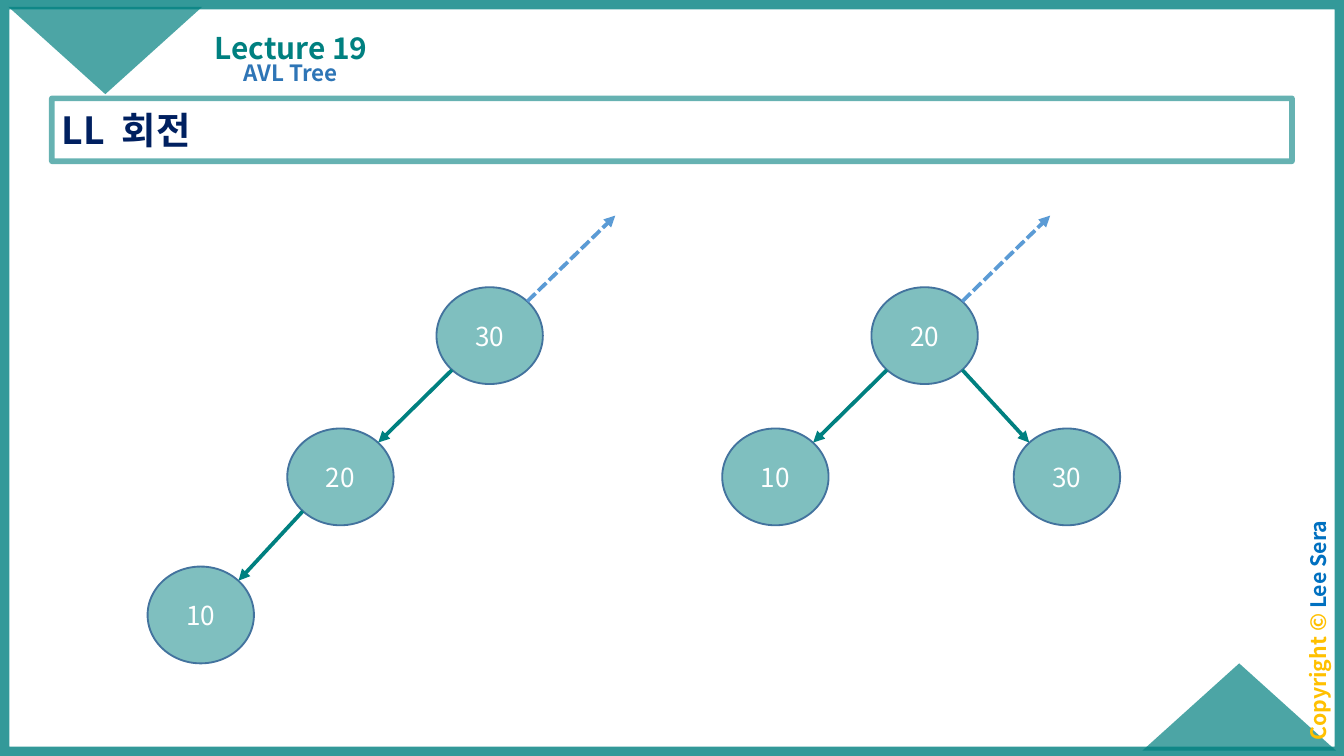
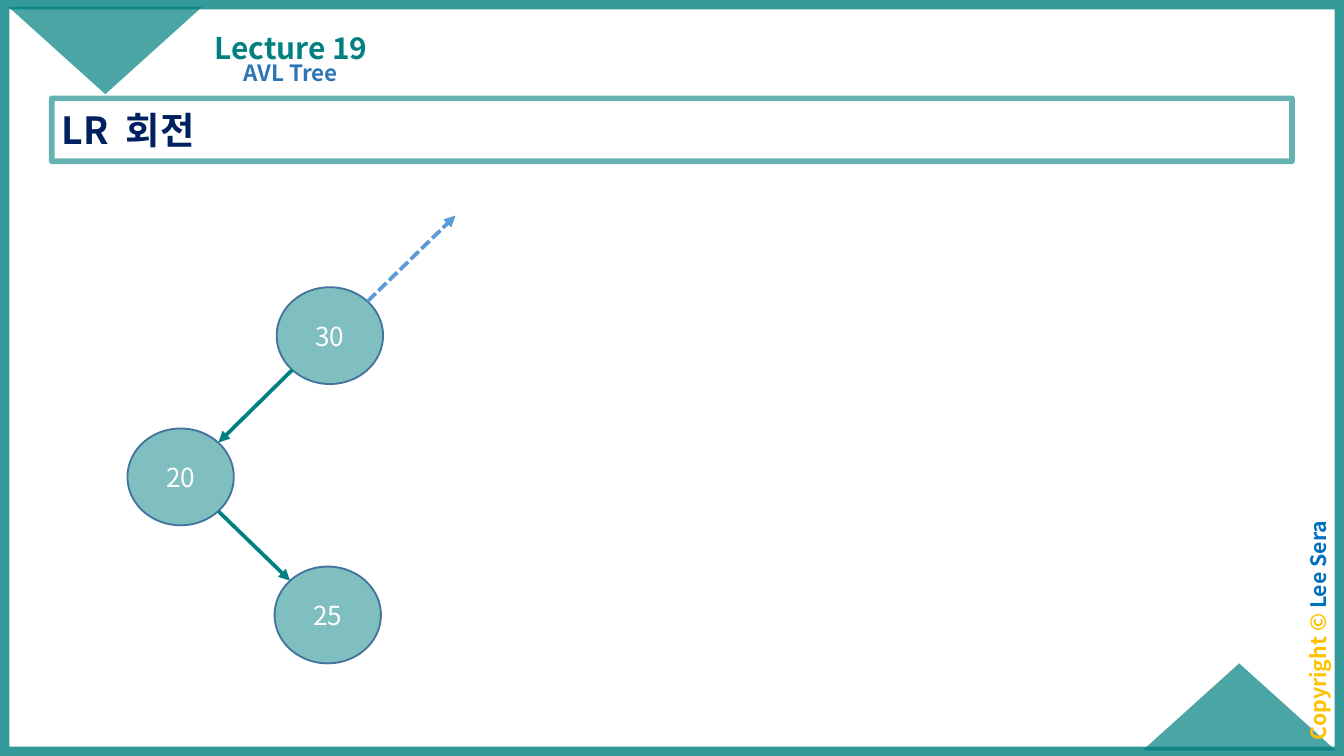
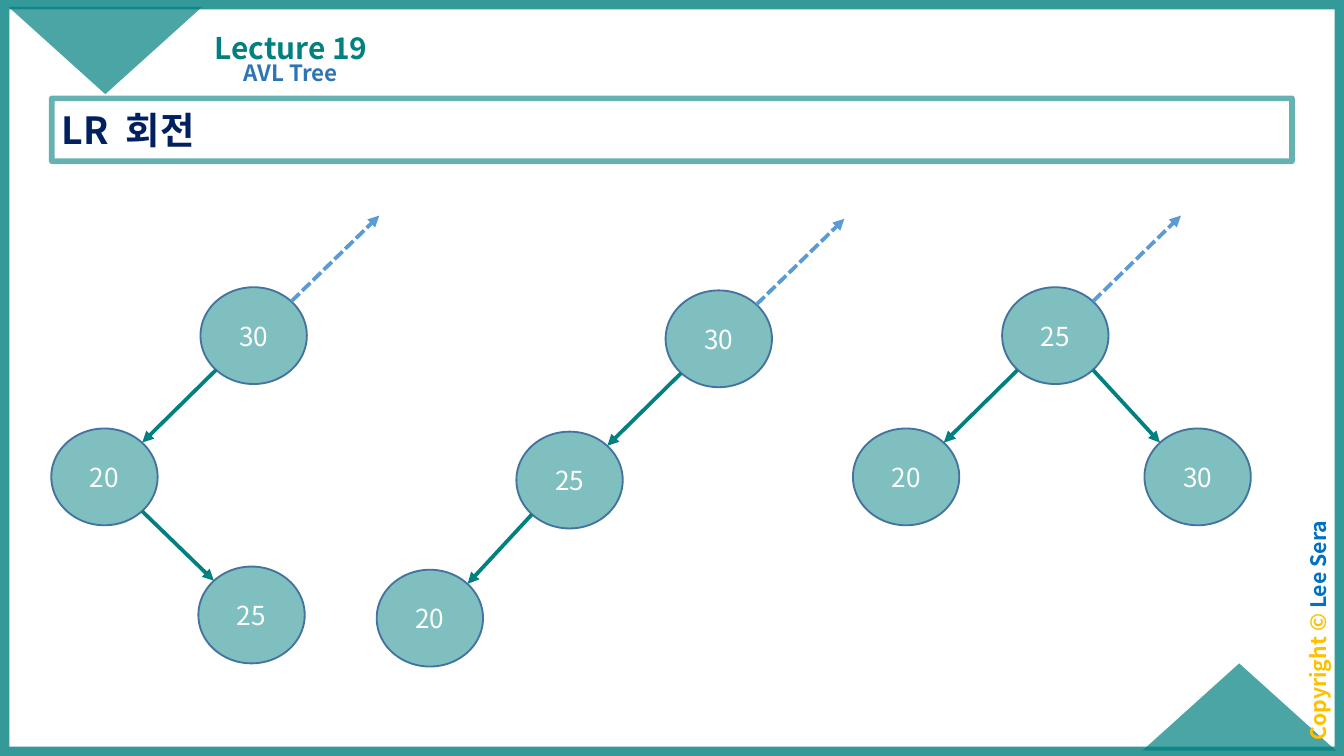
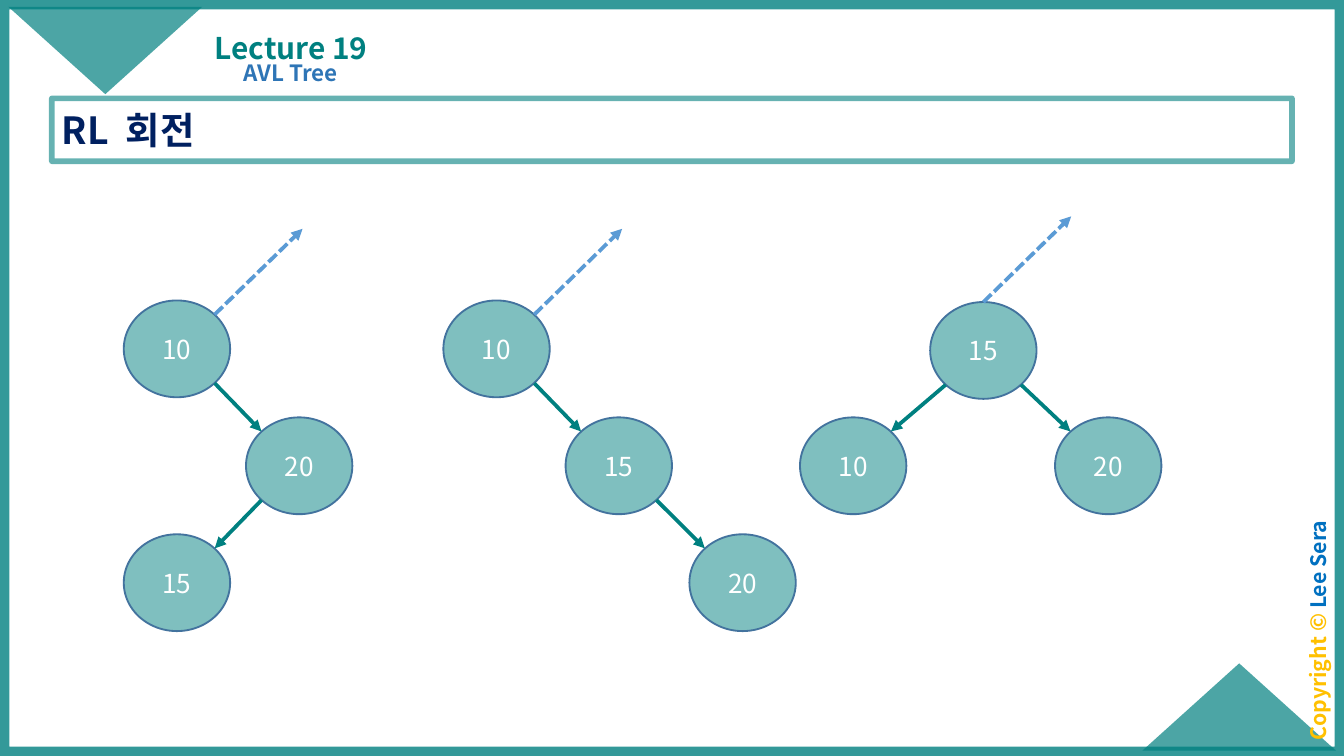
"""Build four lecture slides showing AVL tree rotations."""
import lxml.etree
import pptx
import pptx.dml.color
import pptx.enum.dml
import pptx.enum.shapes
import pptx.enum.text
import pptx.oxml.ns
import pptx.util

Cm = pptx.util.Cm
Pt = pptx.util.Pt
qn = pptx.oxml.ns.qn
SHAPE = pptx.enum.shapes.MSO_SHAPE
ALIGN = pptx.enum.text.PP_ALIGN
ANCHOR = pptx.enum.text.MSO_ANCHOR

FONT = "Noto Sans CJK KR"
COLORS = {
    "teal": "008080",
    "navy": "002060",
    "subtitle": "2E75B6",
    "gold": "FFC000",
    "author": "0070C0",
    "outline": "43739E",
    "dashed": "5B9BD5",
    "white": "FFFFFF",
}
SLIDE_SIZE = (25.4, 14.29)
NODE_SIZE = (2.01, 1.83)
TEXT_INSETS = (0.19, 0.1)
DIAGONAL = 0.71
UP_ARROW = (1.66, -1.62)

LECTURE = "Lecture 19"
TOPIC = "AVL Tree"
COPYRIGHT = [("Copyright © ", "gold"), ("Lee Sera", "author")]

# PATTERNS

PATTERNS = {
    "left-left": [(0, -2.82, 2.67), (1, -5.46, 5.28)],
    "left-right": [(0, -2.82, 2.67), (1, -0.04, 5.28)],
    "balanced": [(0, -2.82, 2.67), (0, 2.69, 2.67)],
    "right-left": [(0, 2.31, 2.21), (1, 0, 4.42)],
    "right-right": [(0, 2.31, 2.21), (1, 4.65, 4.42)],
    "balanced low": [(0, -2.46, 2.18), (0, 2.36, 2.18)],
}
DIAGONAL_START = (DIAGONAL, -DIAGONAL)
TOP_START = (0, -1)
SLIDES = [
    ("LL", "회전", [
        ("left-left", (8.25, 5.43), ["30", "20", "10"], DIAGONAL_START),
        ("balanced", (16.47, 5.43), ["20", "10", "30"], DIAGONAL_START),
    ]),
    ("LR", "회전", [
        ("left-right", (5.23, 5.43), ["30", "20", "25"], DIAGONAL_START),
    ]),
    ("LR", "회전", [
        ("left-right", (3.79, 5.43), ["30", "20", "25"], DIAGONAL_START),
        ("left-left", (12.58, 5.49), ["30", "25", "20"], DIAGONAL_START),
        ("balanced", (18.94, 5.43), ["25", "20", "30"], DIAGONAL_START),
    ]),
    ("RL", "회전", [
        ("right-left", (2.34, 5.68), ["10", "20", "15"], DIAGONAL_START),
        ("right-right", (8.38, 5.68), ["10", "15", "20"], DIAGONAL_START),
        ("balanced low", (17.58, 5.71), ["15", "10", "20"], TOP_START),
    ]),
]


def rgb(name):
    return pptx.dml.color.RGBColor.from_string(COLORS[name])


def set_opacity(parent, percent):
    for color in parent.iter(qn("a:srgbClr")):
        lxml.etree.SubElement(color, qn("a:alpha")).set("val", str(percent * 1000))


def write(box, spans, size, bold=False, align=ALIGN.CENTER, anchor=ANCHOR.MIDDLE,
          spacing=None, before=None, insets=TEXT_INSETS):
    """Write one paragraph of (text, colour[, tracking]) spans."""
    frame = box.text_frame
    frame.auto_size = pptx.enum.text.MSO_AUTO_SIZE.NONE
    frame.word_wrap = True
    frame.vertical_anchor = anchor
    frame.margin_left = frame.margin_right = Cm(insets[0])
    frame.margin_top = frame.margin_bottom = Cm(insets[1])
    para = frame.paragraphs[0]
    para.alignment = align
    if spacing:
        para.line_spacing = spacing
    if before:
        para.space_before = Pt(before)
    for text, color, *tracking in spans:
        span = para.add_run()
        span.text = text
        span.font.size = Pt(size)
        span.font.bold = bold
        span.font.name = FONT
        span.font.color.rgb = rgb(color)
        properties = span._r.get_or_add_rPr()
        lxml.etree.SubElement(properties, qn("a:ea")).set("typeface", FONT)
        if tracking:
            properties.set("spc", str(tracking[0]))


def place(box, left, top, width, height):
    box.left, box.top = Cm(left), Cm(top)
    box.width, box.height = Cm(width), Cm(height)


def add_shape(shapes, kind, area, fill=None, fill_opacity=100, line=None,
              line_width=1, line_opacity=100):
    shape = shapes.add_shape(kind, *map(Cm, area))
    shape.shadow.inherit = False
    properties = shape.element.spPr
    if fill:
        shape.fill.solid()
        shape.fill.fore_color.rgb = rgb(fill)
        set_opacity(properties.find(qn("a:solidFill")), fill_opacity)
    else:
        shape.fill.background()
    if line:
        shape.line.color.rgb = rgb(line)
        shape.line.width = Pt(line_width)
        set_opacity(properties.find(qn("a:ln")), line_opacity)
    else:
        shape.line.fill.background()
    return shape


def add_arrow(shapes, start, end, color, dash=None):
    arrow = shapes.add_connector(pptx.enum.shapes.MSO_CONNECTOR.STRAIGHT,
                                 *map(Cm, start + end))
    arrow.line.color.rgb = rgb(color)
    arrow.line.width = Pt(2)
    if dash:
        arrow.line.dash_style = dash
    properties = arrow.element.spPr
    outline = properties.find(qn("a:ln"))
    lxml.etree.SubElement(outline, qn("a:tailEnd")).set("type", "triangle")
    lxml.etree.SubElement(properties, qn("a:effectLst"))


def rim_point(node, direction):
    return tuple(corner + size / 2 * (1 + way)
                 for corner, size, way in zip(node, NODE_SIZE, direction))


def add_tree(page, pattern, root, labels, up_start):
    shapes = page.shapes.add_group_shape().shapes
    children = PATTERNS[pattern]
    nodes = [root] + [(root[0] + across, root[1] + down)
                      for _, across, down in children]
    for node, label in zip(nodes, labels):
        circle = add_shape(shapes, SHAPE.OVAL, node + NODE_SIZE, fill="teal",
                           fill_opacity=50, line="outline")
        write(circle, [(label, "white")], 14, insets=(0.25, 0.13))
    for (parent, _, _), child in zip(children, nodes[1:]):
        side = DIAGONAL if child[0] > nodes[parent][0] else -DIAGONAL
        add_arrow(shapes, rim_point(nodes[parent], (side, DIAGONAL)),
                  rim_point(child, (-side, -DIAGONAL)), "teal")
    start = rim_point(root, up_start)
    end = (start[0] + UP_ARROW[0], start[1] + UP_ARROW[1])
    add_arrow(shapes, start, end, "dashed", pptx.enum.dml.MSO_LINE.SQUARE_DOT)


def add_page(deck, rotation, word):
    page = deck.slides.add_slide(deck.slide_layouts[0])
    shapes = page.shapes
    add_shape(shapes, SHAPE.RECTANGLE, (0, 0) + SLIDE_SIZE, line="teal",
              line_width=10, line_opacity=80)
    for left, top, turn in [(21.59, 12.54, 0), (0.16, 0.13, 180)]:
        corner = add_shape(shapes, SHAPE.ISOSCELES_TRIANGLE, (left, top, 3.66, 1.65),
                           fill="teal", fill_opacity=70)
        corner.rotation = turn
    footer = shapes.add_textbox(*map(Cm, (22.66, 11.6, 4.72, 0.64)))
    footer.rotation = 270
    write(footer, COPYRIGHT, 11.4, bold=True, anchor=ANCHOR.TOP, spacing=0.7, before=10)
    heading = add_shape(shapes, SHAPE.RECTANGLE, (0.98, 1.86, 23.44, 1.19),
                        line="teal", line_width=3, line_opacity=60)
    write(heading, [(rotation, "navy"), (" ", "navy", 450), (word, "navy")], 20,
          bold=True, align=ALIGN.LEFT)
    title, subtitle = shapes.title, page.placeholders[1]
    place(title, 3.56, 0.15, 3.89, 1.19)
    write(title, [(LECTURE, "teal")], 16, bold=True, anchor=ANCHOR.BOTTOM, spacing=0.9)
    place(subtitle, 2.79, 1.07, 5.41, 0.86)
    write(subtitle, [(TOPIC, "subtitle")], 12, bold=True, anchor=ANCHOR.TOP,
          spacing=0.9, before=7.5)
    return page


def build():
    deck = pptx.Presentation()
    deck.slide_width, deck.slide_height = map(Cm, SLIDE_SIZE)
    for rotation, word, trees in SLIDES:
        page = add_page(deck, rotation, word)
        for tree in trees:
            add_tree(page, *tree)
    deck.save("out.pptx")


build()
